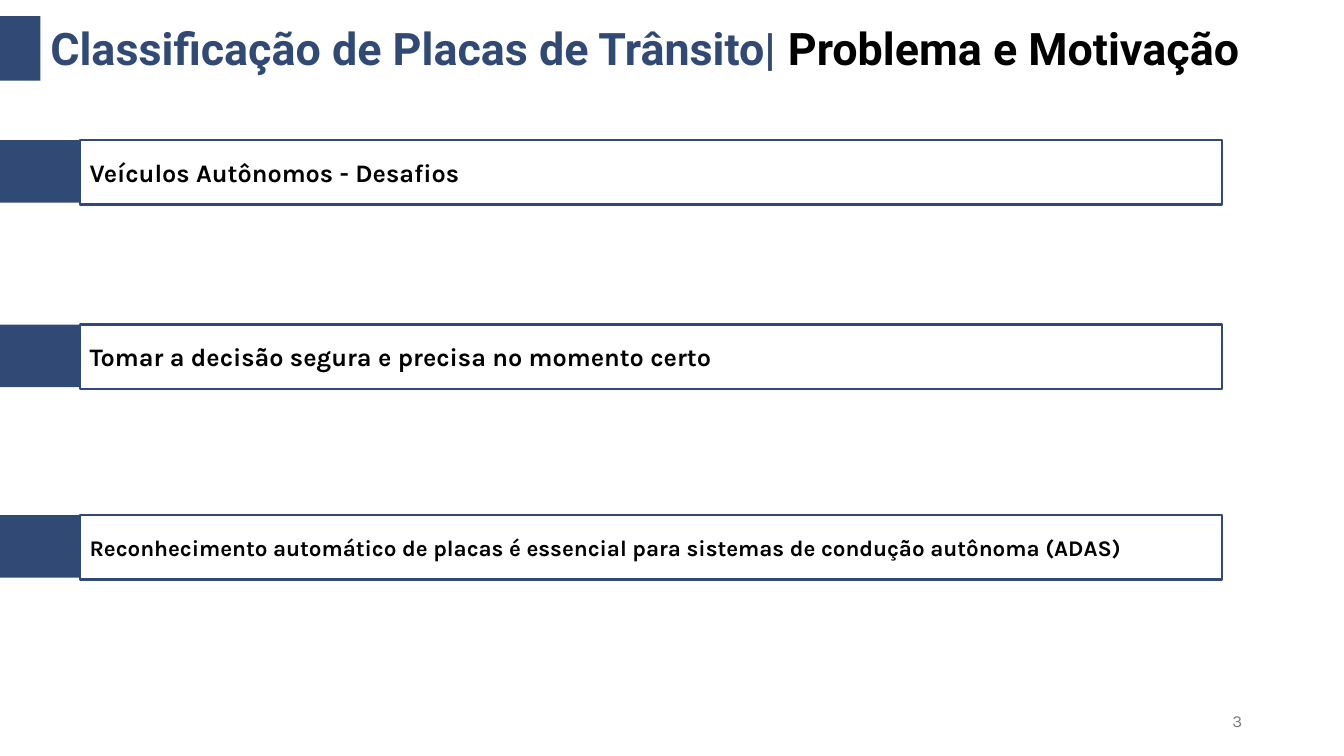
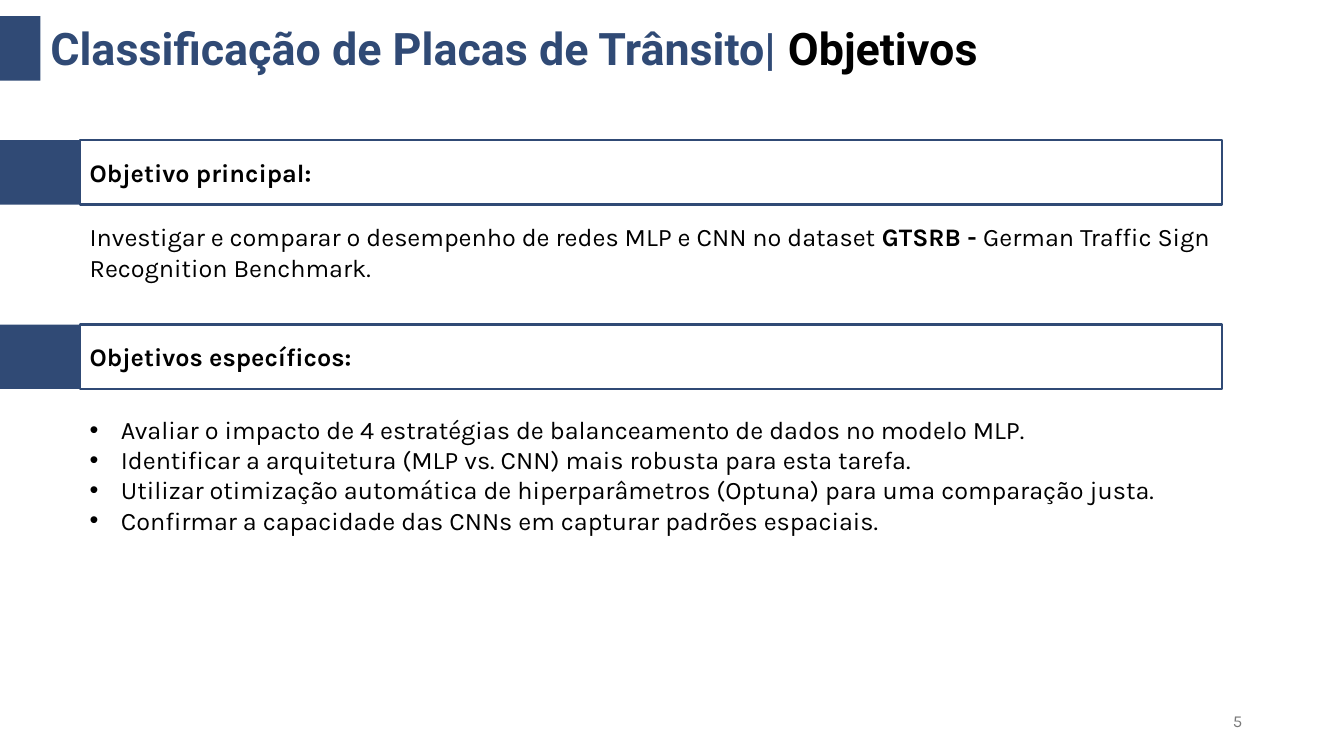
"""Builds two slides on traffic sign classification."""
from lxml.etree import SubElement
from pptx import Presentation
from pptx.dml.color import RGBColor as Rgb
from pptx.enum.shapes import MSO_SHAPE as Kind
from pptx.enum.text import MSO_ANCHOR as Anchor, PP_ALIGN as Align
from pptx.oxml.ns import qn
from pptx.util import Inches, Pt

WIDE, HIGH = Inches(13.33), Inches(7.5)
HUES = {"navy": "304A75", "ink": "000000", "paper": "FFFFFF", "gray": "797979"}
TOPIC = "Classificação de Placas de Trânsito| "
HEAD, BODY = "Roboto", "Karla"
EDGE, TAB, SPAN = 0.03, 0.06, 0.85
LEFT = 0.0593
TOP, BAND = 0.0213, 0.0853
ROWS = 0.1853, 0.4293, 0.6813


def hue(name):
    return Rgb.from_string(HUES[name])


def area(x, y, w, h):
    return [round(part) for part in (x * WIDE, y * HIGH, w * WIDE, h * HIGH)]


def block(slide, box, fill, line=None):
    shape = slide.shapes.add_shape(Kind.RECTANGLE, *area(*box))
    shape.shadow.inherit = False
    shape.fill.solid()
    shape.fill.fore_color.rgb = hue(fill)
    if line:
        shape.line.color.rgb = hue(line)
        shape.line.width = Pt(1.5)
    else:
        shape.line.fill.background()
    return shape


def write(para, text, size=18, color="ink", bold=False, face=BODY):
    run = para.add_run()
    run.text = text
    font = run.font
    font.name, font.size, font.bold = face, Pt(size), bold
    font.color.rgb = hue(color)


def text(slide, box, anchor=Anchor.TOP):
    frame = slide.shapes.add_textbox(*area(*box)).text_frame
    frame.word_wrap = True
    frame.vertical_anchor = anchor
    return frame


def title(slide, name):
    para = text(slide, (EDGE, TOP, 0.954, BAND)).paragraphs[0]
    write(para, TOPIC, 32, "navy", True, HEAD)
    write(para, name, 32, "ink", True, HEAD)
    block(slide, (0, TOP, EDGE, BAND), "navy")


def banner(slide, y, label, size=18, tall=BAND):
    block(slide, (0, y, TAB, tall), "navy")
    frame = block(slide, (LEFT, y, SPAN, BAND), "paper", "navy").text_frame
    frame.word_wrap = True
    frame.vertical_anchor = Anchor.MIDDLE
    para = frame.paragraphs[0]
    para.alignment = Align.LEFT
    write(para, label, size, bold=True)


def bullet(para):
    props = para._p.get_or_add_pPr()
    indent = Inches(0.31)
    props.set("marL", str(indent))
    props.set("indent", str(-indent))
    tint = SubElement(props, qn("a:buClr"))
    SubElement(tint, qn("a:srgbClr")).set("val", HUES["ink"])
    SubElement(props, qn("a:buFont")).set("typeface", "Arial")
    SubElement(props, qn("a:buChar")).set("char", "•")


def points(slide, box, items):
    frame = text(slide, box)
    for i, item in enumerate(items):
        para = frame.add_paragraph() if i else frame.paragraphs[0]
        bullet(para)
        write(para, item)


def number(slide, page):
    para = text(slide, (0.7067, 0.9267, 0.225, 0.0533), Anchor.MIDDLE).paragraphs[0]
    para.alignment = Align.RIGHT
    write(para, str(page), 12, "gray")


def start(deck, name, page):
    slide = deck.slides.add_slide(deck.slide_layouts[6])
    title(slide, name)
    number(slide, page)
    return slide


def motive(deck):
    slide = start(deck, "Problema e Motivação", 3)
    labels = (
        ("Veículos Autônomos - Desafios", 18),
        ("Tomar a decisão segura e precisa no momento certo", 18),
        ("Reconhecimento automático de placas é essencial para "
         "sistemas de condução autônoma (ADAS)", 16),
    )
    for y, (label, size) in zip(ROWS, labels):
        banner(slide, y, label, size, 0.0827)


def goals(deck):
    slide = start(deck, "Objetivos", 5)
    for y, label in zip(ROWS, ("Objetivo principal:", "Objetivos específicos:")):
        banner(slide, y, label)
    para = text(slide, (LEFT, 0.2867, SPAN, 0.0933)).paragraphs[0]
    write(para, "Investigar e comparar o desempenho de redes MLP e CNN no dataset ")
    write(para, "GTSRB - ", bold=True)
    write(para, "German Traffic Sign Recognition Benchmark.")
    points(slide, (LEFT, 0.5413, SPAN, 0.1747), (
        "Avaliar o impacto de 4 estratégias de balanceamento de dados no modelo MLP.",
        "Identificar a arquitetura (MLP vs. CNN) mais robusta para esta tarefa.",
        "Utilizar otimização automática de hiperparâmetros (Optuna) "
        "para uma comparação justa.",
        "Confirmar a capacidade das CNNs em capturar padrões espaciais.",
    ))


def main():
    deck = Presentation()
    deck.slide_width, deck.slide_height = WIDE, HIGH
    motive(deck)
    goals(deck)
    deck.save("out.pptx")


if __name__ == "__main__":
    main()
